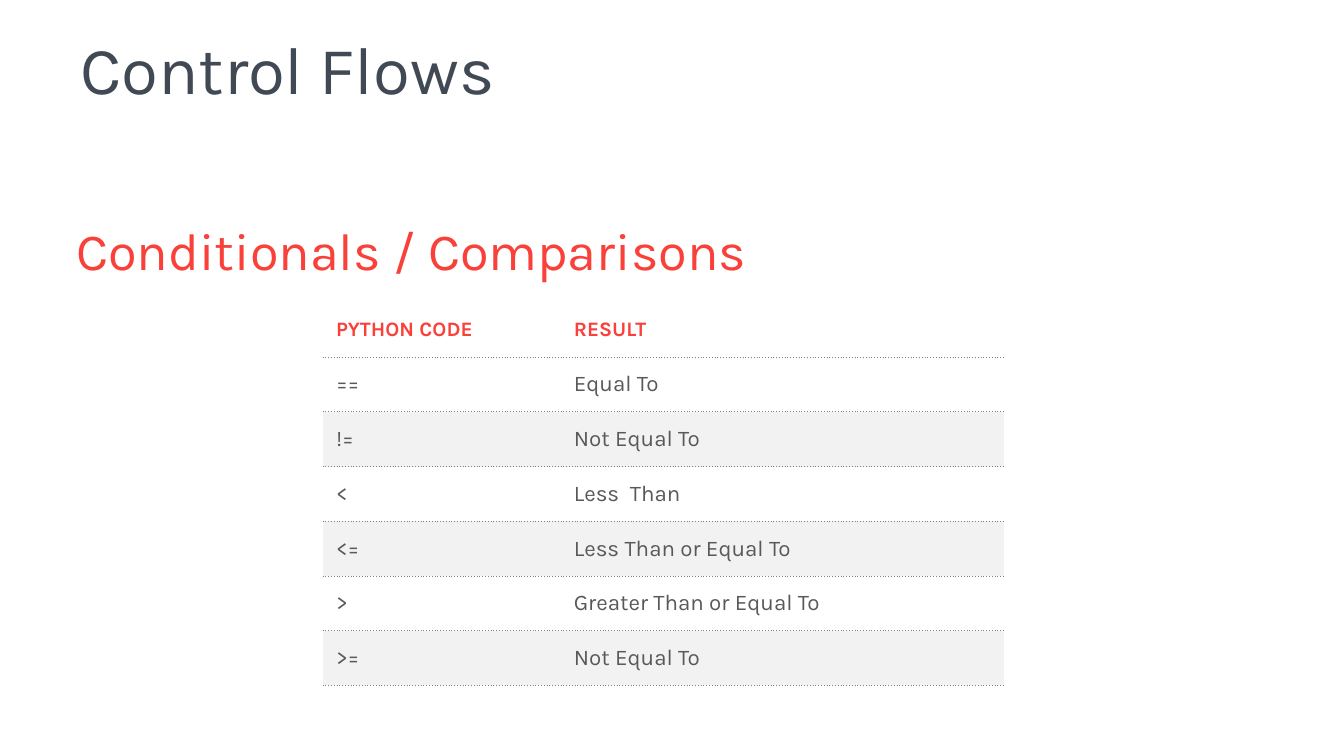
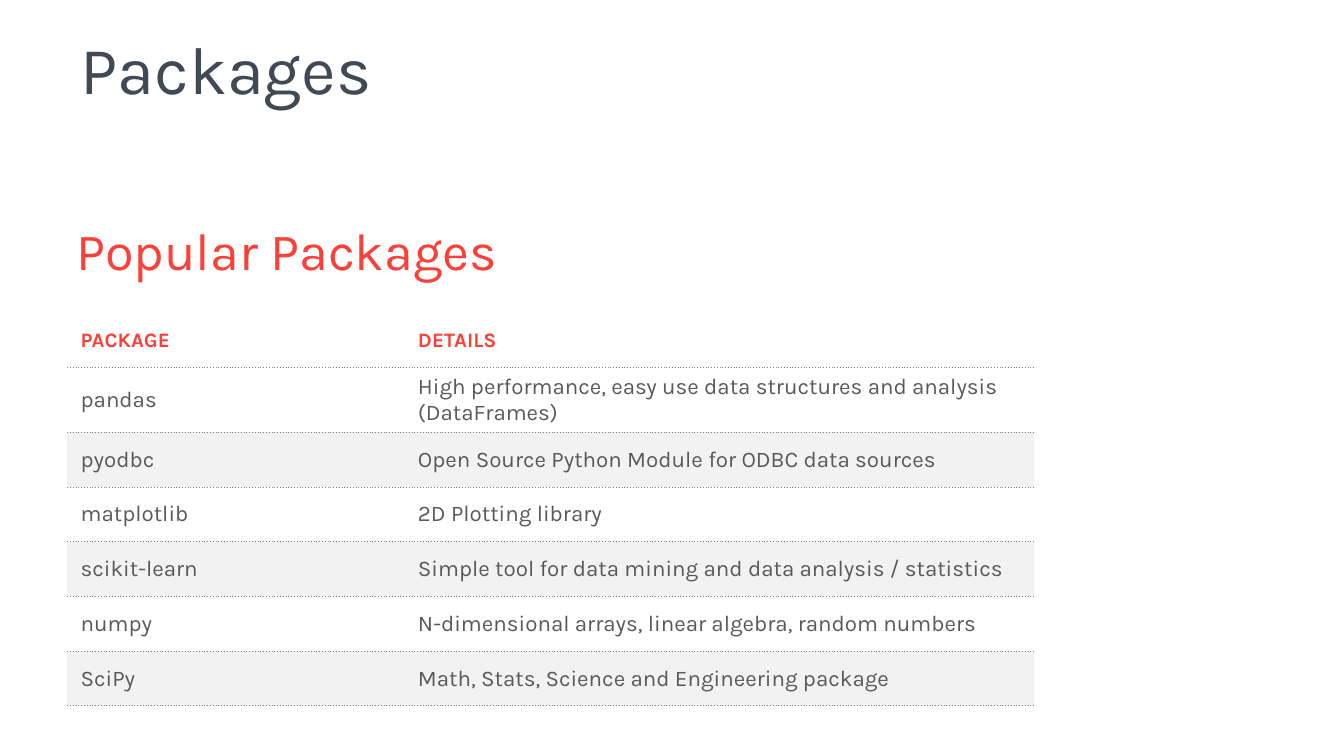
from lxml.etree import SubElement
from pptx import Presentation
from pptx.dml.color import RGBColor
from pptx.enum.text import MSO_ANCHOR
from pptx.oxml import parse_xml
from pptx.oxml.ns import nsdecls, qn
from pptx.util import Inches, Pt

FONT = "Karla"
NAVY, RED, GREY = "414954", "F9413A", "595959"
WHITE, BAND, RULE = "FFFFFF", "F2F2F2", "808080"

COMPARISONS = [
    ("PYTHON CODE", "RESULT"),
    ("==", "Equal To"),
    ("!=", "Not Equal To"),
    ("<", "Less  Than"),
    ("<=", "Less Than or Equal To"),
    (">", "Greater Than or Equal To"),
    (">=", "Not Equal To"),
]
PACKAGES = [
    ("PACKAGE", "DETAILS"),
    ("pandas", "High performance, easy use data structures and analysis (DataFrames)"),
    ("pyodbc", "Open Source Python Module for ODBC data sources"),
    ("matplotlib", "2D Plotting library"),
    ("scikit-learn", "Simple tool for data mining and data analysis / statistics"),
    ("numpy", "N-dimensional arrays, linear algebra, random numbers"),
    ("SciPy", "Math, Stats, Science and Engineering package"),
]


def color(value):
    """Turn a hex string into a colour."""
    return RGBColor.from_string(value)


class Deck:
    """Hold the shared style and the current slide."""

    def __init__(self):
        """Start an empty 16:9 deck, 10 inches wide."""
        self.presentation = Presentation()
        self.presentation.slide_width = Inches(10)
        self.presentation.slide_height = Inches(10 * 9 / 16)
        self.slide = None

    def add_slide(self, title, subtitle):
        """Add a white slide with its two headings."""
        self.slide = self.presentation.slides.add_slide(self.presentation.slide_layouts[6])
        self.slide.background.fill.solid()
        self.slide.background.fill.fore_color.rgb = color(WHITE)
        heading = self.add_text(title, (0.5, 0.27, 9, 0.67), 36, NAVY, MSO_ANCHOR.TOP)
        heading.line_spacing = Pt(35)
        self.add_text(subtitle, (0.47, 1.65, 9.03, 0.49), 28, RED, MSO_ANCHOR.BOTTOM)

    def add_text(self, text, place, size, hue, anchor):
        """Add a wrapped line of text and return its paragraph."""
        frame = self.slide.shapes.add_textbox(*map(Inches, place)).text_frame
        frame.word_wrap = True
        frame.vertical_anchor = anchor
        frame.text = text
        self.set_font(frame.paragraphs[0], size, hue)
        return frame.paragraphs[0]

    def set_font(self, paragraph, size, hue, bold=False):
        """Apply the deck font to a paragraph."""
        paragraph.font.name = FONT
        paragraph.font.size = Pt(size)
        paragraph.font.bold = bold
        paragraph.font.color.rgb = color(hue)

    def add_table(self, rows, left, top, widths):
        """Add a banded two-column table with dotted rules."""
        table = self.slide.shapes.add_table(
            len(rows), len(widths), Inches(left), Inches(top),
            Inches(sum(widths)), Inches(2.85)).table
        for column, width in zip(table.columns, widths):
            column.width = Inches(width)
        for number, row in enumerate(rows):
            for cell, text in zip(table.rows[number].cells, row):
                self.fill_cell(cell, text, number)

    def fill_cell(self, cell, text, number):
        """Style one cell according to its row number."""
        header = number == 0
        cell.text = text
        cell.vertical_anchor = MSO_ANCHOR.MIDDLE
        cell.margin_left = cell.margin_right = Inches(0.1)
        cell.margin_top = cell.margin_bottom = Inches(0.04)
        cell.fill.solid()
        cell.fill.fore_color.rgb = color(WHITE if header or number % 2 else BAND)
        self.set_font(cell.text_frame.paragraphs[0], 11 if header else 12,
                      RED if header else GREY, header)
        ruled = {"lnL": False, "lnR": False, "lnT": not header, "lnB": True}
        for position, (side, visible) in enumerate(ruled.items()):
            self.add_border(cell, position, side, visible)

    def add_border(self, cell, position, side, visible):
        """Give one side of a cell a dotted rule or none."""
        border = parse_xml(f'<a:{side} {nsdecls("a")} w="{Pt(0.5)}"/>')
        if visible:
            fill = SubElement(border, qn("a:solidFill"))
            SubElement(fill, qn("a:srgbClr"), val=RULE)
            SubElement(border, qn("a:prstDash"), val="sysDot")
        else:
            SubElement(border, qn("a:noFill"))
        cell._tc.get_or_add_tcPr().insert(position, border)


def main():
    """Build both slides and save the deck."""
    deck = Deck()
    deck.add_slide("Control Flows", "Conditionals / Comparisons")
    deck.add_table(COMPARISONS, 2.4, 2.25, (1.77, 3.3))
    deck.add_slide("Packages", "Popular Packages")
    deck.add_table(PACKAGES, 0.5, 2.33, (2.51, 4.68))
    deck.presentation.save("out.pptx")


if __name__ == "__main__":
    main()
